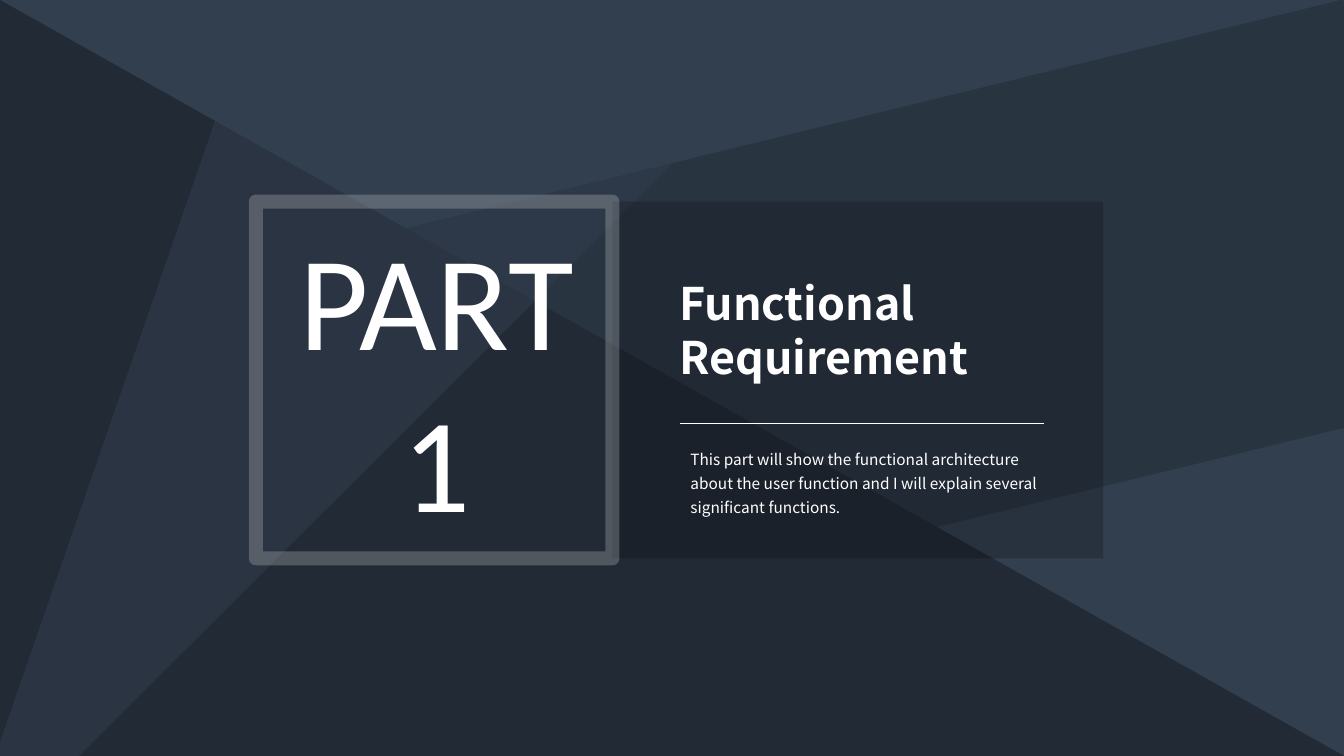
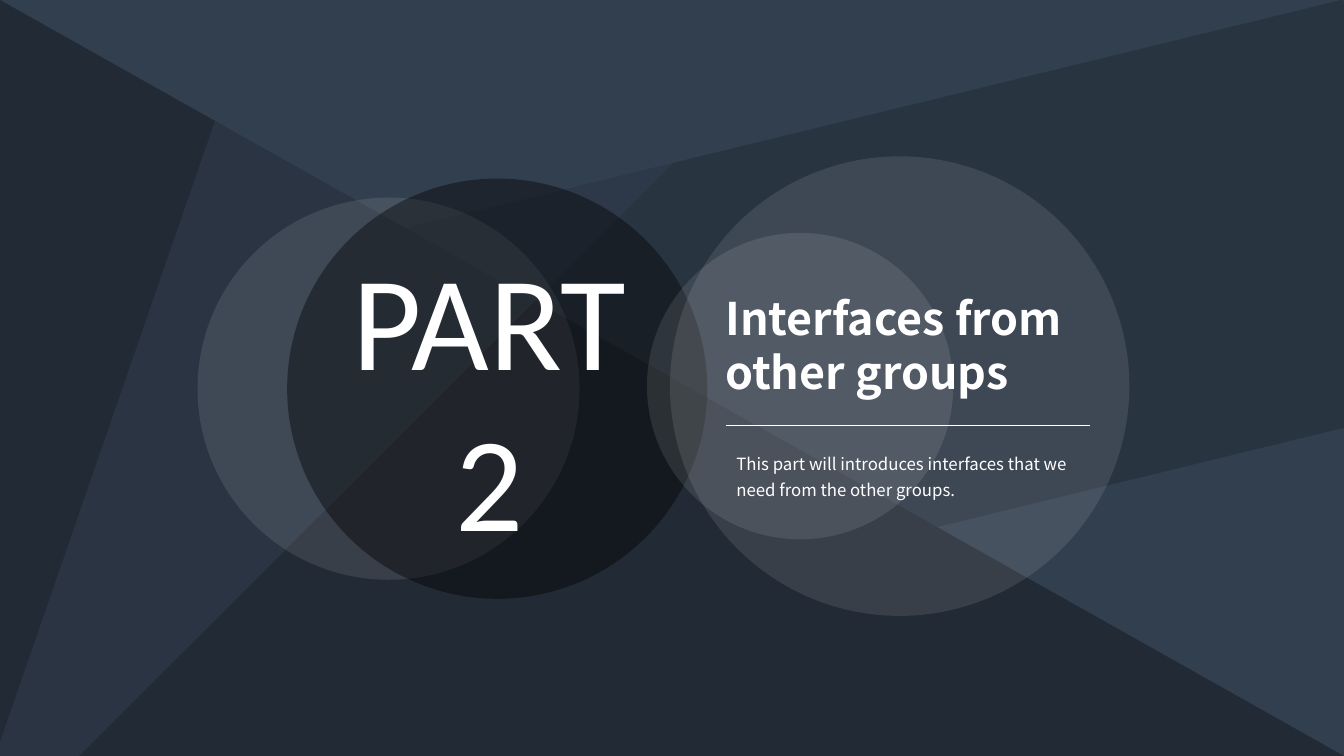
from dataclasses import dataclass

import pptx
import pptx.dml.color
import pptx.enum.shapes
import pptx.enum.text
import pptx.oxml.ns
import pptx.util
from lxml import etree

Cm = pptx.util.Cm
Pt = pptx.util.Pt
Preset = pptx.enum.shapes.MSO_SHAPE
Align = pptx.enum.text.PP_ALIGN
qn = pptx.oxml.ns.qn

# Shared theme
SLATE = "323F4F"
NAVY = "222A35"
WHITE = "FFFFFF"
BLACK = "000000"
SILVER = "D8D8D8"
PART_FONT = "Calibri"
TEXT_FONT = "Noto Sans CJK SC"
SLIDE_WIDTH, SLIDE_HEIGHT = 33.88, 19.05
TEXT_WIDTH = 9.7
RULE_LENGTH = 9.17
RULE_INDENT = 0.28  # from the title box to the rule and the description


@dataclass(frozen=True)
class Figure:
    """A preset shape; lengths in cm, opacity in percent."""
    preset: Preset
    left: float
    top: float
    width: float
    height: float
    fill: str | None = None
    line: str | None = None
    opacity: int = 100
    line_width: float = 0
    rotation: float = 0
    adjustment: float | None = None


@dataclass(frozen=True)
class Section:
    number: str
    title: str
    description: str
    description_size: int
    figures: tuple[Figure, ...]
    part_at: tuple[float, float]
    title_at: tuple[float, float]
    rule_top: float
    description_top: float
    description_height: float


def circle(left: float, top: float, diameter: float, fill: str, opacity: int) -> Figure:
    return Figure(Preset.OVAL, left, top, diameter, diameter, fill, opacity=opacity)


BACKDROP = (
    Figure(Preset.ISOSCELES_TRIANGLE, 0, 0, SLIDE_WIDTH, SLIDE_HEIGHT, NAVY, adjustment=0),
    Figure(Preset.PARALLELOGRAM, -1.78, 4.27, 37.41, 10.49, NAVY,
           opacity=50, rotation=346.3, adjustment=-0.04),
    Figure(Preset.ISOSCELES_TRIANGLE, 3, -2.92, 13.74, 28.22, SLATE,
           opacity=50, rotation=199.1, adjustment=1),
)

SECTIONS = (
    Section(
        "1", "Functional Requirement",
        "This part will show the functional architecture about the user function "
        "and I will explain several significant functions.", 11,
        (
            Figure(Preset.RECTANGLE, 15.44, 5.08, 12.37, 8.99, BLACK, opacity=20),
            Figure(Preset.RECTANGLE, 6.45, 5.08, 8.99, 8.99, line=SILVER,
                   opacity=26, line_width=10),
        ),
        part_at=(6.99, 5.33), title_at=(16.87, 6.83),
        rule_top=10.67, description_top=11.07, description_height=2.06,
    ),
    Section(
        "2", "Interfaces from other groups",
        "This part will introduces interfaces that we need from the other groups.", 12,
        (
            circle(4.98, 4.98, 9.63, WHITE, 10),
            circle(7.24, 4.5, 10.59, BLACK, 40),
            circle(16.31, 5.87, 7.72, WHITE, 10),
            circle(16.89, 3.94, 11.58, WHITE, 10),
        ),
        part_at=(8.31, 5.82), title_at=(18.03, 7.21),
        rule_top=10.72, description_top=11.15, description_height=1.57,
    ),
)


def paint(color_format, color: str, opacity: int = 100) -> None:
    """Set the colour of a solid fill and its opacity."""
    color_format.rgb = pptx.dml.color.RGBColor.from_string(color)


def set_solid(fill, color: str, properties=None, opacity: int = 100) -> None:
    """Make a fill solid; properties is the element that holds it."""
    fill.solid()
    paint(fill.fore_color, color)
    if opacity < 100:
        color_element = properties.find(qn("a:solidFill")).find(qn("a:srgbClr"))
        etree.SubElement(color_element, qn("a:alpha"), val=str(opacity * 1000))


def draw_figure(slide, figure: Figure) -> None:
    shape = slide.shapes.add_shape(
        figure.preset, Cm(figure.left), Cm(figure.top), Cm(figure.width), Cm(figure.height))
    shape.shadow.inherit = False
    shape.rotation = figure.rotation
    if figure.adjustment is not None:
        shape.adjustments[0] = figure.adjustment
    properties = shape.element.spPr
    if figure.fill:
        set_solid(shape.fill, figure.fill, properties, figure.opacity)
    else:
        shape.fill.background()
    if figure.line:
        shape.line.width = Pt(figure.line_width)
        set_solid(shape.line.fill, figure.line, properties.find(qn("a:ln")), figure.opacity)
    else:
        shape.line.fill.background()


def place(shape, left: float, top: float, width: float, height: float) -> None:
    """Move a text shape and bring it to the front."""
    shape.left, shape.top = Cm(left), Cm(top)
    shape.width, shape.height = Cm(width), Cm(height)
    shape.element.getparent().append(shape.element)
    frame = shape.text_frame
    frame.word_wrap = True
    frame.auto_size = pptx.enum.text.MSO_AUTO_SIZE.NONE
    frame.vertical_anchor = pptx.enum.text.MSO_ANCHOR.TOP


def write(paragraph, text: str, font_name: str, size: int,
          alignment: Align = Align.LEFT, bold: bool = False) -> None:
    paragraph.alignment = alignment
    paragraph.space_before = Pt(0)
    run = paragraph.add_run()
    run.text = text
    run.font.name = font_name
    run.font.size = Pt(size)
    run.font.bold = bold
    paint(run.font.color, WHITE)


def remove_bullet(paragraph) -> None:
    properties = paragraph._p.get_or_add_pPr()
    properties.set("marL", "0")
    properties.set("indent", "0")
    etree.SubElement(properties, qn("a:buNone"))


def draw_rule(slide, left: float, top: float) -> None:
    rule = slide.shapes.add_connector(
        pptx.enum.shapes.MSO_CONNECTOR.STRAIGHT,
        Cm(left), Cm(top), Cm(left + RULE_LENGTH), Cm(top))
    rule.line.width = Pt(0.5)
    set_solid(rule.line.fill, WHITE)
    etree.SubElement(rule.element.spPr, qn("a:effectLst"))


def build_section(presentation, section: Section) -> None:
    slide = presentation.slides.add_slide(presentation.slide_layouts[1])
    for figure in BACKDROP + section.figures:
        draw_figure(slide, figure)

    # Part number
    part_box = slide.shapes.add_textbox(0, 0, 0, 0)
    place(part_box, *section.part_at, 8.05, 8.38)
    frame = part_box.text_frame
    write(frame.paragraphs[0], "PART", PART_FONT, 96, Align.CENTER)
    write(frame.add_paragraph(), section.number, PART_FONT, 96, Align.CENTER)

    # Title and rule
    title = slide.shapes.title
    place(title, *section.title_at, 9.55, 2.97)
    write(title.text_frame.paragraphs[0], section.title, TEXT_FONT, 32, bold=True)
    text_left = section.title_at[0] + RULE_INDENT
    draw_rule(slide, text_left, section.rule_top)

    # Description
    body = slide.placeholders[1]
    place(body, text_left, section.description_top, TEXT_WIDTH, section.description_height)
    paragraph = body.text_frame.paragraphs[0]
    write(paragraph, section.description, TEXT_FONT, section.description_size)
    paragraph.line_spacing = 1.3
    remove_bullet(paragraph)


def main() -> None:
    presentation = pptx.Presentation()
    presentation.slide_width = Cm(SLIDE_WIDTH)
    presentation.slide_height = Cm(SLIDE_HEIGHT)
    set_solid(presentation.slide_master.background.fill, SLATE)
    for section in SECTIONS:
        build_section(presentation, section)
    presentation.save("out.pptx")


if __name__ == "__main__":
    main()
